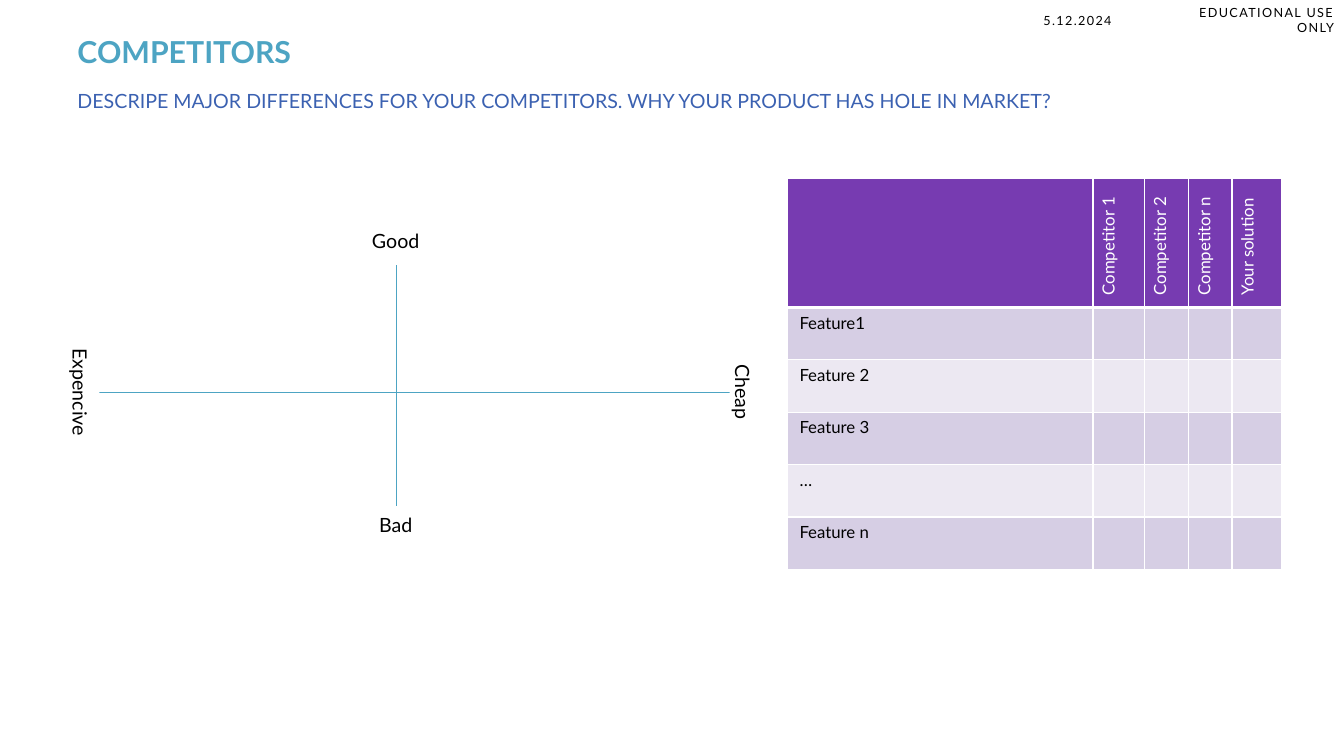
import pptx
import pptx.dml.color
import pptx.enum.shapes
import pptx.enum.text
import pptx.oxml
import pptx.oxml.ns
import pptx.util

RGBColor = pptx.dml.color.RGBColor
Align = pptx.enum.text.PP_ALIGN
Anchor = pptx.enum.text.MSO_ANCHOR

TEAL = RGBColor(0x4D, 0xA4, 0xC3)
BLUE = RGBColor(0x3B, 0x61, 0xB1)
PURPLE = RGBColor(0x77, 0x3B, 0xB1)
LILAC = RGBColor(0xD6, 0xCE, 0xE4)
PALE_LILAC = RGBColor(0xEC, 0xE8, 0xF2)
BLACK = RGBColor(0, 0, 0)
WHITE = RGBColor(0xFF, 0xFF, 0xFF)


def px(length):
    """100 px make one inch."""
    return pptx.util.Emu(length * 9144)


class SlideBuilder:
    font_name = "Lato"

    def __init__(self, presentation):
        self.slide = presentation.slides.add_slide(presentation.slide_layouts[6])
        self.shapes = self.slide.shapes

    def add_text_run(self, paragraph, text, size, color, bold=False, spacing=0):
        run = paragraph.add_run()
        run.text = text
        run.font.name = self.font_name
        run.font.size = pptx.util.Pt(size)
        run.font.bold = bold
        run.font.color.rgb = color
        if spacing:
            run.font._element.set("spc", str(spacing * 100))

    def fill_frame(self, shape, text, size, color, align=Align.LEFT,
                   anchor=Anchor.TOP, inset=(10, 5), line_spacing=None, **style):
        frame = shape.text_frame
        frame.word_wrap = True
        frame.vertical_anchor = anchor
        frame.margin_left = frame.margin_right = px(inset[0])
        frame.margin_top = frame.margin_bottom = px(inset[1])
        paragraph = frame.paragraphs[0]
        paragraph.alignment = align
        if line_spacing:
            paragraph.line_spacing = line_spacing
        self.add_text_run(paragraph, text, size, color, **style)

    def text(self, box, text, size, color, **options):
        shape = self.shapes.add_textbox(*map(px, box))
        self.fill_frame(shape, text, size, color, **options)

    def turned_label(self, box, text, size, color, **options):
        shape = self.shapes.add_shape(
            pptx.enum.shapes.MSO_SHAPE.RECTANGLE, *map(px, box))
        shape.rotation = 90
        shape.shadow.inherit = False
        shape.fill.solid()
        shape.fill.fore_color.rgb = WHITE
        shape.line.fill.background()
        self.fill_frame(shape, text, size, color, **options)

    def line(self, ends, color, width):
        connector = self.shapes.add_connector(
            pptx.enum.shapes.MSO_CONNECTOR.STRAIGHT, *map(px, ends))
        connector.line.color.rgb = color
        connector.line.width = pptx.util.Pt(width)
        properties = connector._element.spPr
        properties.append(pptx.oxml.parse_xml(
            f'<a:effectLst {pptx.oxml.ns.nsdecls("a")}/>'))

    def cell(self, cell, text, fill, color, bottom_width=1, vertical=False):
        cell.margin_left = cell.margin_right = px(12)
        cell.margin_top = cell.margin_bottom = px(5)
        properties = cell._tc.get_or_add_tcPr()
        if vertical:
            properties.set("vert", "vert270")
        for side, width in (("L", 1), ("R", 1), ("T", 1), ("B", bottom_width)):
            properties.append(pptx.oxml.parse_xml(
                f'<a:ln{side} {pptx.oxml.ns.nsdecls("a")} w="{width * 12700}">'
                f'<a:solidFill><a:srgbClr val="{WHITE}"/></a:solidFill></a:ln{side}>'))
        cell.fill.solid()
        cell.fill.fore_color.rgb = fill
        if text:
            self.add_text_run(cell.text_frame.paragraphs[0], text, 12, color)

    def table(self, left, top, widths, heights, header, features):
        table = self.shapes.add_table(
            len(heights), len(widths), px(left), px(top),
            px(sum(widths)), px(sum(heights))).table
        for column, width in zip(table.columns, widths):
            column.width = px(width)
        for row, height in zip(table.rows, heights):
            row.height = px(height)
        for column, name in enumerate(header):
            self.cell(table.cell(0, column), name, PURPLE, WHITE,
                      bottom_width=3, vertical=bool(name))
        for row, feature in enumerate(features, start=1):
            fill = LILAC if row % 2 else PALE_LILAC
            for column in range(len(widths)):
                self.cell(table.cell(row, column), "" if column else feature,
                          fill, BLACK)


def main():
    presentation = pptx.Presentation()
    presentation.slide_width = px(1333)
    presentation.slide_height = px(750)
    builder = SlideBuilder(presentation)

    # Headings
    builder.text((67, 30, 1225, 42), "COMPETITORS", 21.6, TEAL,
                 anchor=Anchor.MIDDLE, bold=True)
    builder.text((67, 79, 1225, 65),
                 "DESCRIPE MAJOR DIFFERENCES FOR YOUR COMPETITORS. "
                 "WHY YOUR PRODUCT HAS HOLE IN MARKET?",
                 14, BLUE, line_spacing=1.2)

    # Feature comparison
    features = ["Feature1", "Feature 2", "Feature 3", "…", "Feature n"]
    builder.table(781, 177, [303, 51, 44, 43, 49], [128] + [52] * len(features),
                  ["", "Competitor 1", "Competitor 2", "Competitor n",
                   "Your solution"], features)

    # Positioning axes and their labels
    for ends in ((393, 263, 393, 502), (67, 389, 739, 389)):
        builder.line(ends, TEAL, 0.5)
    label_style = {"align": Align.CENTER, "inset": (13, 7)}
    for top, name in ((220, "Good"), (502, "Bad")):
        builder.text((335, top, 115, 32), name, 14, BLACK, **label_style)
    for left, name in ((682, "Cheap"), (25, "Expencive")):
        builder.turned_label((left, 373, 115, 32), name, 14, BLACK, **label_style)

    # Date and usage note
    builder.text((1025, 6, 127, 29), "5.12.2024", 9, BLACK,
                 anchor=Anchor.MIDDLE, spacing=1)
    builder.text((1145, 5, 188, 30), "EDUCATIONAL USE ONLY", 9, BLACK,
                 align=Align.RIGHT, anchor=Anchor.MIDDLE, spacing=1)

    presentation.save("out.pptx")


if __name__ == "__main__":
    main()
